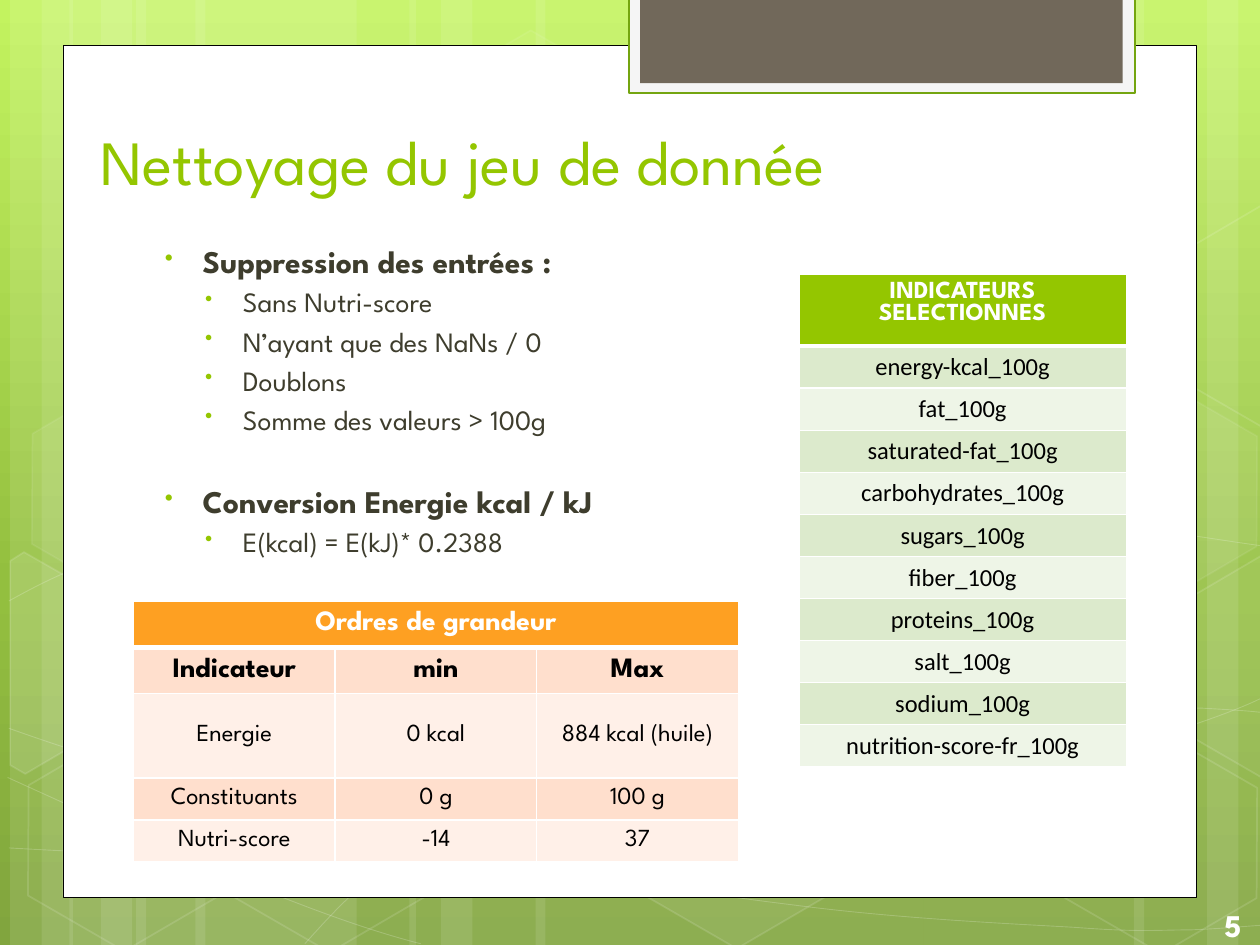
import copy
import math
import pptx
import pptx.util
import pptx.dml.color
import pptx.enum.shapes
import pptx.enum.text
import pptx.oxml
import pptx.oxml.ns

THEME = {
    "sky": [(0, "C3F35F"), (0.62, "93BF3F"), (1, "81A53E")],
    "white": "FFFFFF", "black": "000000", "green": "94C600", "ink": "3E3D2D",
    "tab_edge": "74A510", "tab_rim": "F5F5F5", "tab": "71685A",
    "green_bands": ("DCEACC", "EEF5E7"),
    "orange": "FEA022", "orange_bands": ("FFDFCD", "FFF0E8"),
    "display": "League Spartan", "plain": "Calibri",
    "title": 36, "heading": 18, "item": 16, "cell": 14, "pitch": 22.3, "section_gap": 25.5,
}

TITLE = "Nettoyage du jeu de donnée"
PAGE = "5"
SECTIONS = [
    ("Suppression des entrées :",
     ["Sans Nutri-score", "N’ayant que des NaNs / 0", "Doublons", "Somme des valeurs > 100g"]),
    ("Conversion Energie kcal / kJ", ["E(kcal) = E(kJ)* 0.2388"]),
]
INDICATORS = [
    ["INDICATEURS SELECTIONNES"], ["energy-kcal_100g"], ["fat_100g"], ["saturated-fat_100g"],
    ["carbohydrates_100g"], ["sugars_100g"], ["fiber_100g"], ["proteins_100g"],
    ["salt_100g"], ["sodium_100g"], ["nutrition-score-fr_100g"],
]
MAGNITUDES = [
    ["Ordres de grandeur", "", ""],
    ["Indicateur", "min", "Max"],
    ["Energie", "0 kcal", "884 kcal (huile)"],
    ["Constituants", "0 g", "100 g"],
    ["Nutri-score", "-14", "37"],
]

BEAMS = [(1.08, 1.75), (0.08, 0.5), (0.33, 0.83), (1.55, 1.75), (0.55, 0.5), (0.8, 0.83),
         (7.33, 1.75), (9.58, 0.5), (9, 0.83), (4.25, 3.08), (3.25, 0.5), (3.5, 0.83)]
WAVES = [
    [(0.07, 6.73), (0.61, 6.76), (1.15, 6.79), (1.9, 6.78), (2.65, 6.77), (3.58, 6.75), (4.58, 6.65),
     (5.58, 6.55), (7, 6.36), (7.92, 6.17), (8.83, 5.98), (9.77, 5.68), (10.07, 5.51)],
    [(0.07, 4.77), (0.36, 4.61), (0.65, 4.46), (1.21, 4.31), (1.78, 4.16), (2.59, 3.94), (3.47, 3.87),
     (4.36, 3.8), (5.44, 3.79), (6.54, 3.87), (7.64, 3.95), (9.47, 4.26), (10.07, 4.34)],
    [(0.06, 6.17), (1.27, 6.72), (2.47, 7.27), (3.34, 7.49)],
    [(0.07, 5.78), (0.38, 5.89), (0.7, 6), (1.28, 6.16), (1.86, 6.31), (2.73, 6.56), (3.57, 6.73),
     (4.4, 6.9), (5.45, 7.08), (6.28, 7.18), (7.11, 7.29), (8, 7.33), (8.53, 7.36),
     (9.05, 7.4), (9.19, 7.38), (9.45, 7.38), (9.71, 7.37), (9.89, 7.35), (10.07, 7.34)],
    [(2.42, 7.49), (2.6, 7.29), (2.78, 7.09), (3.02, 6.91), (3.26, 6.73), (3.6, 6.53), (3.88, 6.39),
     (4.16, 6.25), (4.33, 6.19), (4.7, 6.09), (5.06, 5.99), (5.73, 5.85), (6.08, 5.78),
     (6.44, 5.71), (6.49, 5.71), (6.8, 5.69), (7.11, 5.66), (7.6, 5.63), (7.94, 5.62),
     (8.29, 5.61), (8.86, 5.62), (8.86, 5.62), (9.08, 5.62), (9.3, 5.62), (9.53, 5.62),
     (9.71, 5.63), (9.88, 5.64), (9.97, 5.65), (10.06, 5.66), (10.03, 5.65), (10.06, 5.66)],
]
TILT = 30
HEXAGONS = [(3.34, 0.36, 4, 8), (4.97, 5.89, 6, 12), (0.11, 5.91, None, 12), (0.14, 3.12, 7, 8),
            (1.74, 5.92, None, 12), (8.34, 5.93, None, 12), (8.34, 3.14, 7, 8)]
CUT_HEXAGONS = [
    ((0.36, 5.35), 10,
     [(0.08, 4.45), (0.19, 4.38), (0.96, 4.82), (0.95, 5.7), (0.2, 6.14), (0.08, 6.07)]),
    ((9.85, 5.2), 4,
     [(9.26, 4.85), (10.01, 4.41), (10.09, 4.46), (10.09, 6.13), (10.02, 6.17), (9.26, 5.73)]),
    ((9.85, 2.41), None,
     [(9.26, 2.07), (10.01, 1.63), (10.1, 1.68), (10.09, 3.35), (10.02, 3.39), (9.26, 2.95)]),
]


def rgb(value):
    return pptx.dml.color.RGBColor.from_string(value)


def inches(values):
    return [pptx.util.Inches(value) for value in values]


def paint(fill, color, opacity=100):
    if color is None or opacity is None:
        fill.background()
        return
    fill.solid()
    fill.fore_color.rgb = rgb(color)
    if opacity < 100:
        tint = fill._xPr.find(".//" + pptx.oxml.ns.qn("a:srgbClr"))
        tint.append(tint.makeelement(pptx.oxml.ns.qn("a:alpha"), {"val": str(opacity * 1000)}))


def dress(shape, color, opacity=100, edge=None, edge_width=1, edge_opacity=100):
    shape.shadow.inherit = False
    paint(shape.fill, color, opacity)
    paint(shape.line.fill, edge, edge_opacity)
    if edge:
        shape.line.width = pptx.util.Pt(edge_width)


def add_box(slide, kind, place, *look):
    shape = slide.shapes.add_shape(kind, *inches(place))
    dress(shape, *look)
    return shape


def add_outline(slide, points, close, *look):
    start, *rest = [inches(point) for point in points]
    builder = slide.shapes.build_freeform(*start)
    builder.add_line_segments(rest, close=close)
    outline = builder.convert_to_shape()
    dress(outline, *look)
    return outline


def bend(outline):
    lines = list(outline.element.iter(pptx.oxml.ns.qn("a:lnTo")))
    for i in range(0, len(lines), 3):
        curve = lines[i].makeelement(pptx.oxml.ns.qn("a:cubicBezTo"), {})
        lines[i].addprevious(curve)
        for line in lines[i:i + 3]:
            curve.append(line[0])
            line.getparent().remove(line)


def turn_back(point, center):
    angle = math.radians(-TILT)
    dx, dy = point[0] - center[0], point[1] - center[1]
    return (center[0] + dx * math.cos(angle) - dy * math.sin(angle),
            center[1] + dx * math.sin(angle) + dy * math.cos(angle))


def style(paragraph, size, color, bold=False, face=THEME["display"], centered=False):
    if centered:
        paragraph.alignment = pptx.enum.text.PP_ALIGN.CENTER
    for run in paragraph.runs:
        run.font.size = pptx.util.Pt(size)
        run.font.name = face
        run.font.bold = bold
        run.font.color.rgb = rgb(color)


def add_text(slide, place, text=""):
    frame = slide.shapes.add_textbox(*inches(place)).text_frame
    frame.word_wrap = True
    frame.text = text
    return frame


def add_bullet(paragraph, level):
    paragraph.level = level
    props = paragraph._p.get_or_add_pPr()
    props.set("marL", str(pptx.util.Inches((0.38, 0.7)[level])))
    props.set("indent", str(pptx.util.Inches(-0.3)))
    space = pptx.oxml.ns.nsdecls("a")
    for mark in (f'<a:buClr {space}><a:srgbClr val="{THEME["green"]}"/></a:buClr>',
                 f'<a:buSzPct {space} val="76000"/>', f'<a:buChar {space} char="•"/>'):
        props.append(pptx.oxml.parse_xml(mark))


def border(cell, row):
    widths = {"lnL": 1, "lnR": 1, "lnT": 3 if row == 1 else 1, "lnB": 3 if row == 0 else 1}
    for i, (side, width) in enumerate(widths.items()):
        cell._tc.get_or_add_tcPr().insert(i, pptx.oxml.parse_xml(
            f'<a:{side} {pptx.oxml.ns.nsdecls("a")} w="{pptx.util.Pt(width)}"><a:solidFill>'
            f'<a:srgbClr val="{THEME["white"]}"/></a:solidFill></a:{side}>'))


def add_grid(slide, rows, place, heights, header_fill, bands, looks, anchor):
    table = slide.shapes.add_table(len(rows), len(rows[0]), *inches(place)).table
    for r, (row, height) in enumerate(zip(rows, heights)):
        table.rows[r].height = pptx.util.Inches(height)
        size, color, bold, face = looks[min(r, len(looks) - 1)]
        for c, text in enumerate(row):
            cell = table.cell(r, c)
            cell.text = text
            cell.vertical_anchor = anchor
            paint(cell.fill, bands[(r - 1) % 2] if r else header_fill)
            border(cell, r)
            style(cell.text_frame.paragraphs[0], size, color, bold, face, True)
    if len(rows[0]) > 1:
        table.cell(0, 0).merge(table.cell(0, len(rows[0]) - 1))


def add_background(slide):
    fill = slide.background.fill
    fill.gradient()
    fill.gradient_angle = 270
    stop_list = slide.element.find(".//" + pptx.oxml.ns.qn("a:gsLst"))
    stop_list.append(copy.deepcopy(stop_list[-1]))
    for stop, (position, color) in zip(fill.gradient_stops, THEME["sky"]):
        stop.position = position
        stop.color.rgb = rgb(color)


def add_scenery(slide):
    kinds = pptx.enum.shapes.MSO_SHAPE
    white = THEME["white"]
    for left, width in BEAMS:
        add_box(slide, kinds.RECTANGLE, (left, 0, width, 7.5), white, 10)
    for wave in WAVES:
        bend(add_outline(slide, wave, False, None, 100, white, 0.5, 20))
    for left, top, opacity, edge_opacity in HEXAGONS:
        hexagon = add_box(slide, kinds.HEXAGON, (left, top, 1.75, 1.52),
                          white, opacity, white, 1, edge_opacity)
        hexagon.adjustments[0], hexagon.adjustments[1] = 0.285, 1.155
        hexagon.rotation = TILT
    for center, opacity, points in CUT_HEXAGONS:
        upright = [turn_back(point, center) for point in points]
        add_outline(slide, upright, True, white, opacity, white, 1, 12).rotation = TILT
    add_box(slide, kinds.RECTANGLE, (0.5, 0.36, 9, 6.76), white, 100, THEME["black"], 0.5)
    add_box(slide, kinds.RECTANGLE, (4.99, -0.02, 4.02, 0.76),
            THEME["tab_rim"], 100, THEME["tab_edge"], 1.25)
    add_box(slide, kinds.RECTANGLE, (5.08, -0.02, 3.83, 0.68), THEME["tab"])


def add_sections(slide):
    frame = add_text(slide, (1.13, 1.86, 7.41, 4.96))
    lines = [(s, level, text) for s, (heading, items) in enumerate(SECTIONS)
             for level, text in [(0, heading)] + [(1, item) for item in items]]
    for i, (section, level, text) in enumerate(lines):
        paragraph = frame.add_paragraph() if i else frame.paragraphs[0]
        paragraph.text = text
        paragraph.line_spacing = pptx.util.Pt(THEME["pitch"])
        opens_section = section > 0 and level == 0
        paragraph.space_before = pptx.util.Pt(THEME["section_gap"] if opens_section else 0)
        add_bullet(paragraph, level)
        style(paragraph, THEME["item" if level else "heading"], THEME["ink"], level == 0)


def main():
    deck = pptx.Presentation()
    deck.slide_width, deck.slide_height = inches((10, 7.5))
    slide = deck.slides.add_slide(deck.slide_layouts[6])
    add_background(slide)
    add_scenery(slide)
    title = add_text(slide, (0.7, 0.37, 7.68, 1.25), TITLE)
    title.vertical_anchor = pptx.enum.text.MSO_ANCHOR.BOTTOM
    style(title.paragraphs[0], THEME["title"], THEME["green"])
    add_sections(slide)
    page = add_text(slide, (9.57, 7.14, 0.43, 0.4), PAGE)
    style(page.paragraphs[0], THEME["heading"], THEME["white"], True, centered=True)
    display, white, black = THEME["display"], THEME["white"], THEME["black"]
    add_grid(slide, INDICATORS, (6.34, 2.18, 2.6, 3.9), [0.55] + [0.33] * 10,
             THEME["green"], THEME["green_bands"],
             [(THEME["cell"], white, True, display), (THEME["cell"], black, False, THEME["plain"])],
             pptx.enum.text.MSO_ANCHOR.TOP)
    add_grid(slide, MAGNITUDES, (1.06, 4.77, 4.8, 2.07), [0.36, 0.36, 0.67, 0.33, 0.33],
             THEME["orange"], THEME["orange_bands"],
             [(THEME["item"], white, True, display), (THEME["item"], black, True, display),
              (THEME["cell"], black, False, display)], pptx.enum.text.MSO_ANCHOR.MIDDLE)
    deck.save("out.pptx")


if __name__ == "__main__":
    main()
